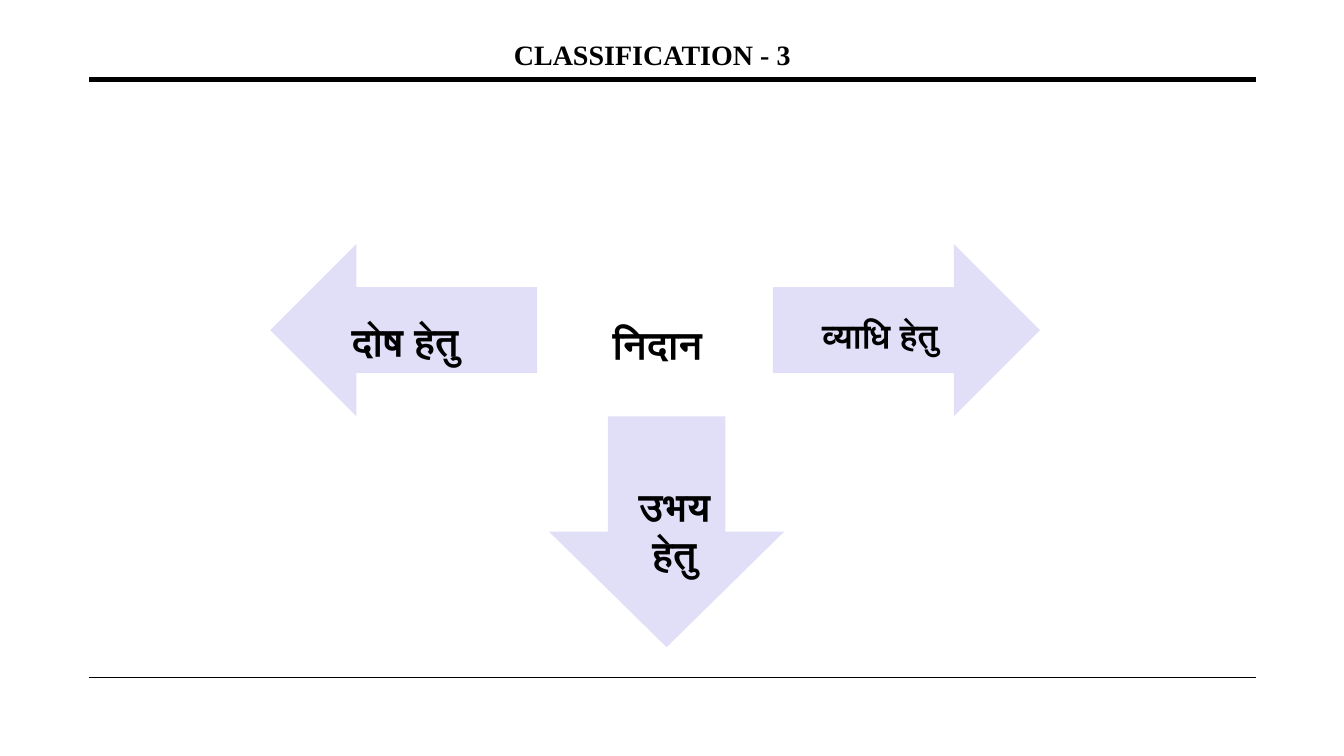
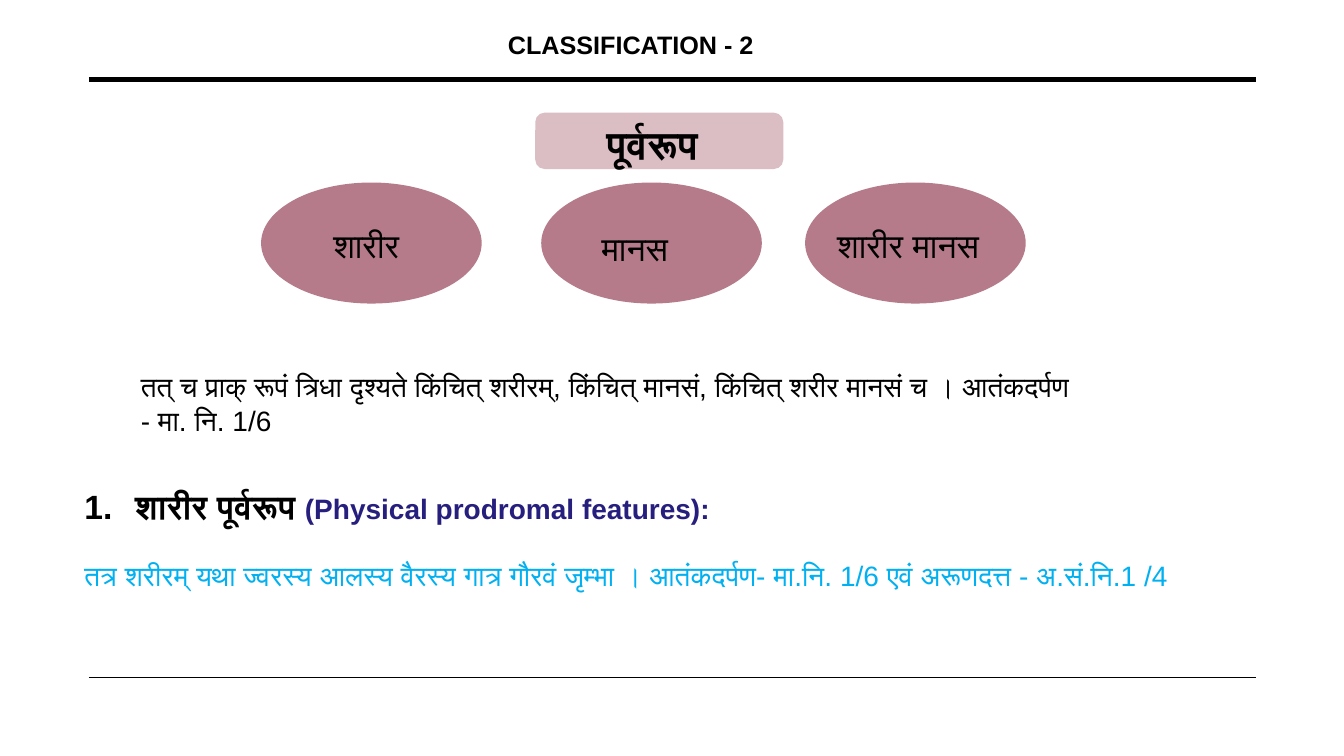
"""Build two classification slides on nidana and purvarupa."""

from dataclasses import dataclass

from lxml.etree import SubElement
from pptx import Presentation
from pptx.dml.color import RGBColor
from pptx.enum.shapes import MSO_CONNECTOR, MSO_SHAPE
from pptx.enum.text import MSO_AUTO_SIZE, PP_ALIGN
from pptx.oxml.ns import qn
from pptx.slide import Slide
from pptx.text.text import TextFrame, _Paragraph, _Run
from pptx.util import Cm, Pt

BLACK = RGBColor(0x00, 0x00, 0x00)
LAVENDER = RGBColor(0xE1, 0xDF, 0xF7)
PALE_ROSE = RGBColor(0xDB, 0xBD, 0xC4)
ROSE = RGBColor(0xB6, 0x7B, 0x8A)
INDIGO = RGBColor(0x27, 0x1F, 0x7E)
SKY = RGBColor(0x00, 0xB0, 0xF0)
SANS = "Arial"
SERIF = "Times New Roman"
RULE_LEFT, RULE_RIGHT = 2.24, 31.65
RULES = ((2.01, 3.5), (17.07, 1))
NUMBER_INDENT = Cm(1.27)


@dataclass(frozen=True)
class Figure:
    kind: MSO_SHAPE
    left: float
    top: float
    width: float
    height: float
    fill: RGBColor


@dataclass(frozen=True)
class Label:
    text: str
    left: float
    top: float
    width: float
    height: float
    size: int
    bold: bool = True
    align: PP_ALIGN = PP_ALIGN.LEFT
    font: str = SANS


NIDANA_TITLE = Label("CLASSIFICATION - 3", 12.7, 0.81, 9.22, 1.12, 20, font=SERIF)
NIDANA_ARROWS = (
    Figure(MSO_SHAPE.RIGHT_ARROW, 19.48, 6.15, 6.73, 4.34, LAVENDER),
    Figure(MSO_SHAPE.LEFT_ARROW, 6.81, 6.15, 6.73, 4.34, LAVENDER),
    Figure(MSO_SHAPE.DOWN_ARROW, 13.84, 10.49, 5.92, 5.82, LAVENDER),
)
NIDANA_LABELS = (
    Label("निदान", 15.19, 7.95, 3.61, 1.45, 28),
    Label("दोष हेतु", 8.61, 7.87, 5.59, 1.45, 28),
    Label("व्याधि हेतु", 20.47, 7.8, 5.72, 1.27, 24),
    Label("उभय हेतु", 15.54, 12.04, 2.92, 2.64, 28, align=PP_ALIGN.CENTER),
)

PURVARUPA_TITLE = Label("CLASSIFICATION - 2", 12.55, 0.61, 7.77, 1.02, 18)
PURVARUPA_FIGURES = (
    Figure(MSO_SHAPE.ROUNDED_RECTANGLE, 13.49, 2.84, 6.25, 1.42, PALE_ROSE),
    *(
        Figure(MSO_SHAPE.OVAL, left, 4.6, 5.56, 3.05, ROSE)
        for left in (6.58, 13.64, 20.29)
    ),
)
PURVARUPA_LABELS = (
    Label("पूर्वरूप", 13.64, 2.9, 5.59, 1.45, 28, align=PP_ALIGN.CENTER),
    Label("शारीर", 8.15, 5.54, 4.17, 1.27, 24, bold=False),
    Label("मानस", 14.91, 5.61, 3.58, 1.27, 24, bold=False),
    Label("शारीर मानस", 20.85, 5.54, 5.79, 1.27, 24, bold=False),
    Label(
        "तत् च प्राक् रूपं त्रिधा दृश्यते किंचित् शरीरम्, किंचित् मानसं, "
        "किंचित् शरीर मानसं च । आतंकदर्पण - मा. नि. 1/6",
        3.3, 9.19, 24.1, 2.82, 20, bold=False,
    ),
)


def style_span(
    span: _Run, size: int, color: RGBColor = BLACK, bold: bool = False, font: str = SANS
) -> None:
    span.font.size = Pt(size)
    span.font.bold = bold
    span.font.color.rgb = color
    span.font.name = font
    SubElement(span._r.get_or_add_rPr(), qn("a:cs"), typeface=font)


def add_frame(
    page: Slide, left: float, top: float, width: float, height: float
) -> TextFrame:
    box = page.shapes.add_textbox(Cm(left), Cm(top), Cm(width), Cm(height))
    frame = box.text_frame
    frame.word_wrap = True
    frame.auto_size = MSO_AUTO_SIZE.SHAPE_TO_FIT_TEXT
    return frame


def add_label(page: Slide, label: Label) -> None:
    frame = add_frame(page, label.left, label.top, label.width, label.height)
    frame.text = label.text
    para = frame.paragraphs[0]
    para.alignment = label.align
    style_span(para.runs[0], label.size, bold=label.bold, font=label.font)


def add_figure(page: Slide, figure: Figure) -> None:
    shape = page.shapes.add_shape(
        figure.kind, Cm(figure.left), Cm(figure.top), Cm(figure.width), Cm(figure.height)
    )
    shape.shadow.inherit = False
    shape.fill.solid()
    shape.fill.fore_color.rgb = figure.fill
    shape.line.fill.background()


def add_rule(page: Slide, top: float, weight: float) -> None:
    rule = page.shapes.add_connector(
        MSO_CONNECTOR.STRAIGHT, Cm(RULE_LEFT), Cm(top), Cm(RULE_RIGHT), Cm(top)
    )
    rule.line.color.rgb = BLACK
    rule.line.width = Pt(weight)
    SubElement(rule._element.spPr, qn("a:effectLst"))


def number_paragraph(para: _Paragraph) -> None:
    properties = para._p.get_or_add_pPr()
    properties.set("marL", str(NUMBER_INDENT))
    properties.set("indent", str(-NUMBER_INDENT))
    SubElement(properties, qn("a:buFont"), typeface=SANS)
    SubElement(properties, qn("a:buAutoNum"), type="arabicPeriod")


def add_physical_features(page: Slide) -> None:
    frame = add_frame(page, 1.88, 12.12, 29.06, 3.3)
    frame.text = "शारीर पूर्वरूप "
    heading = frame.paragraphs[0]
    number_paragraph(heading)
    style_span(heading.runs[0], 24, bold=True)
    translation = heading.add_run()
    translation.text = "(Physical prodromal features):"
    style_span(translation, 20, INDIGO, bold=True)
    verse = frame.add_paragraph()
    verse.text = (
        "तत्र शरीरम् यथा ज्वरस्य आलस्य वैरस्य गात्र गौरवं जृम्भा । "
        "आतंकदर्पण- मा.नि. 1/6 एवं अरूणदत्त - अ.सं.नि.1 /4"
    )
    verse.space_before = Pt(23)
    style_span(verse.runs[0], 20, SKY)
    for para in frame.paragraphs:
        para.alignment = PP_ALIGN.JUSTIFY


def add_page(
    deck: Presentation, title: Label, figures: tuple[Figure, ...], labels: tuple[Label, ...]
) -> Slide:
    page = deck.slides.add_slide(deck.slide_layouts[6])
    for top, weight in RULES:
        add_rule(page, top, weight)
    for figure in figures:
        add_figure(page, figure)
    for label in (title, *labels):
        add_label(page, label)
    return page


def main() -> None:
    deck = Presentation()
    deck.slide_width, deck.slide_height = Cm(33.87), Cm(19.05)
    add_page(deck, NIDANA_TITLE, NIDANA_ARROWS, NIDANA_LABELS)
    purvarupa = add_page(deck, PURVARUPA_TITLE, PURVARUPA_FIGURES, PURVARUPA_LABELS)
    add_physical_features(purvarupa)
    deck.save("out.pptx")


if __name__ == "__main__":
    main()
